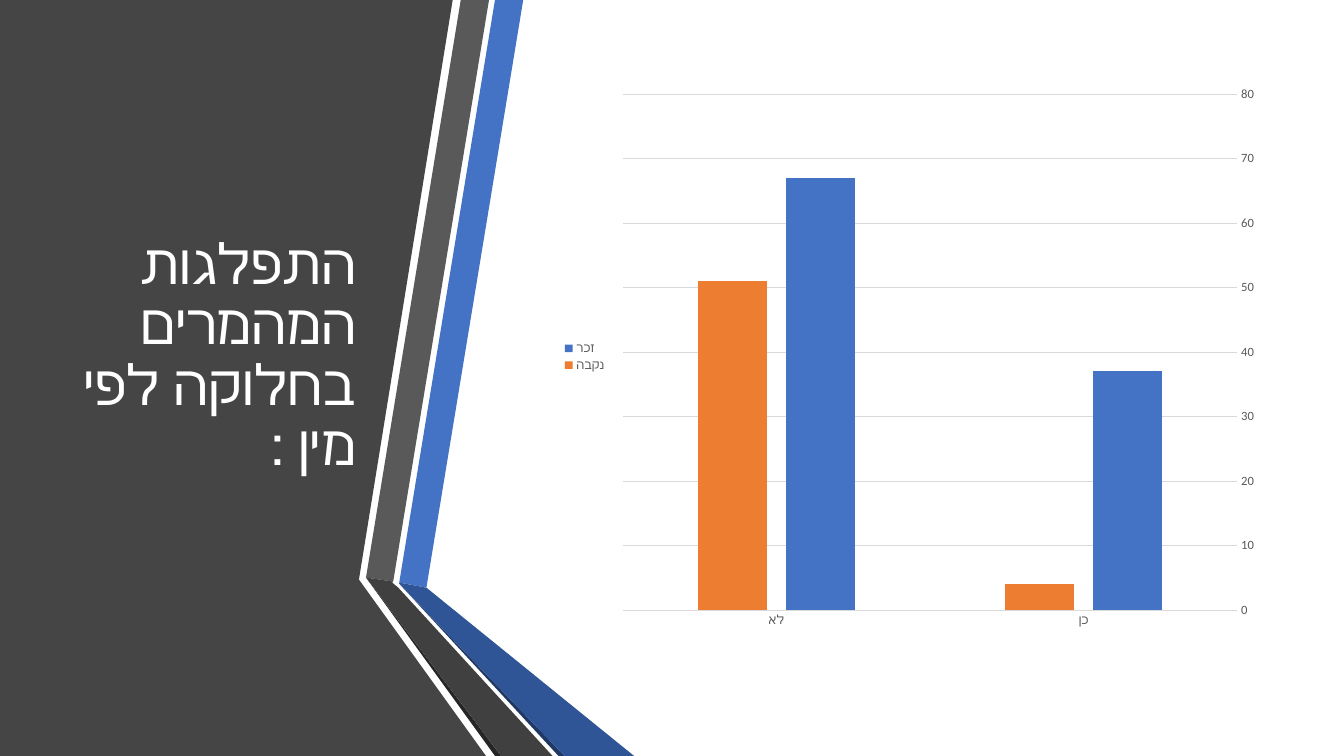
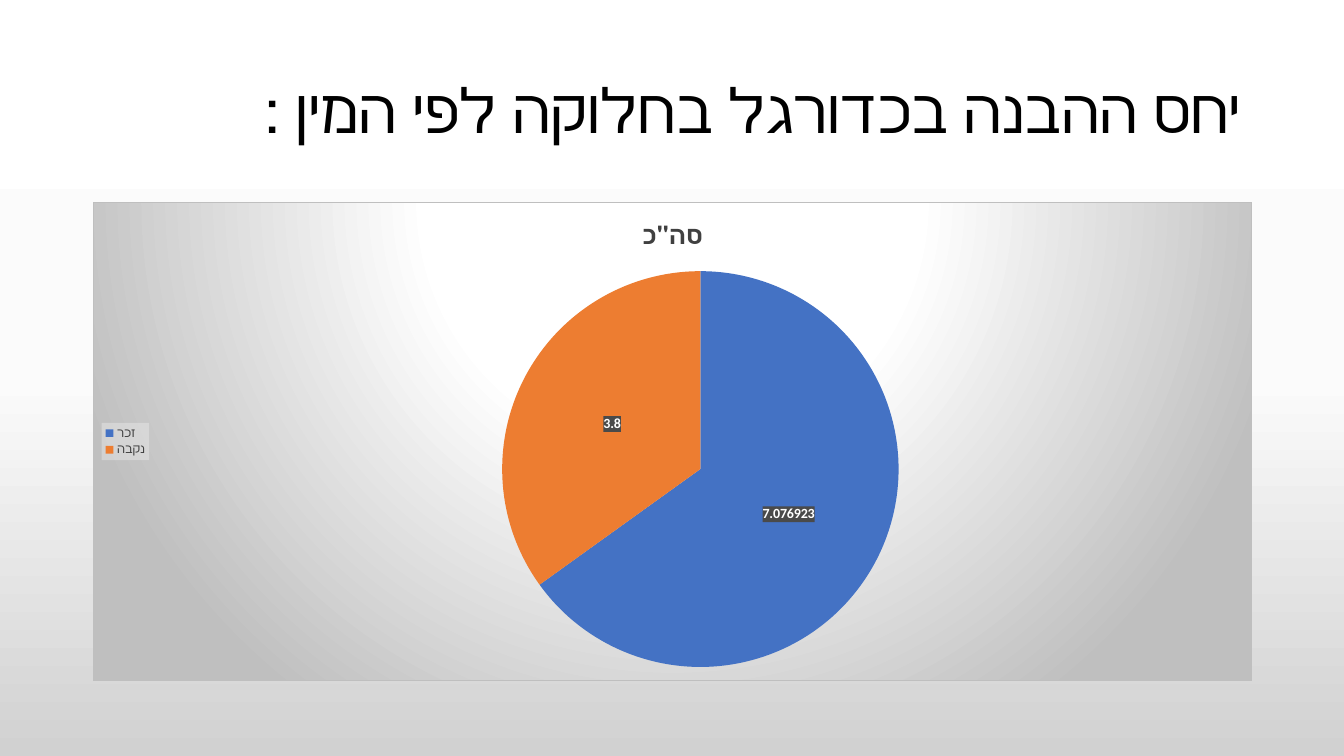
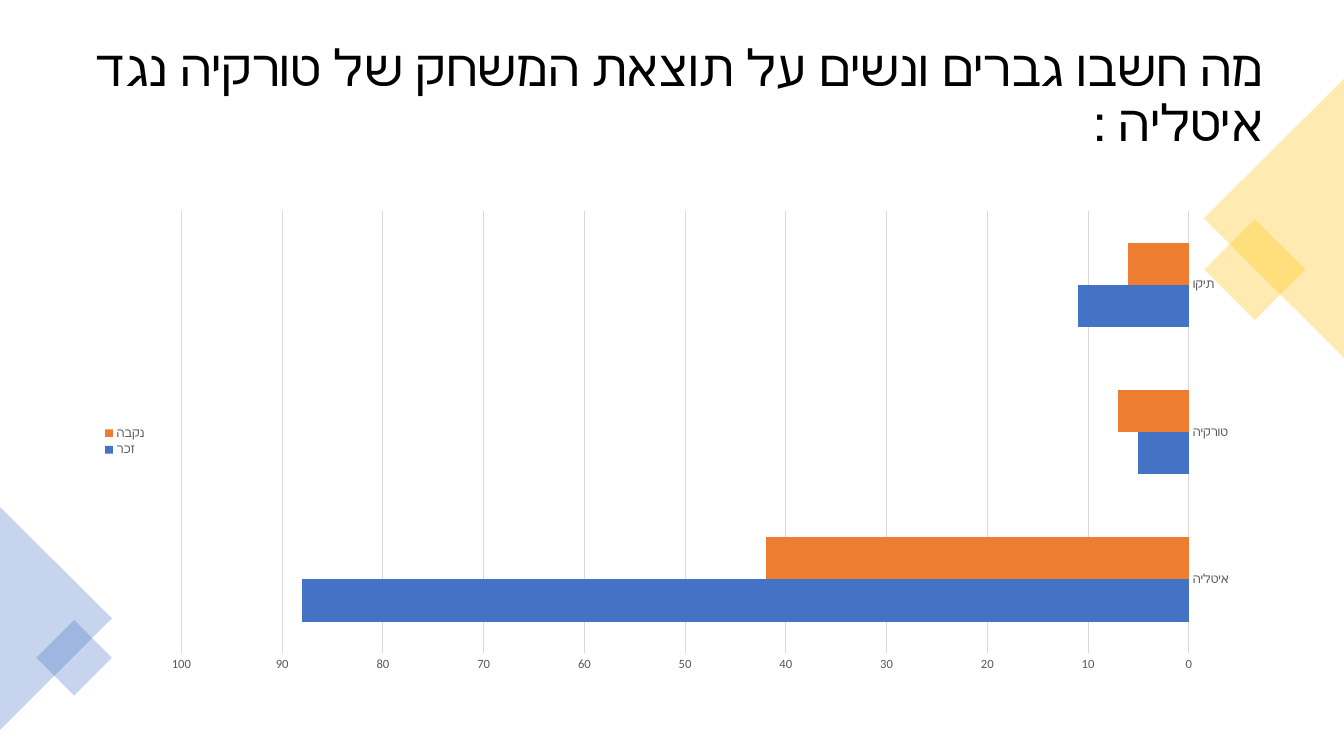
"""Build three Hebrew survey slides with shared titles and chart styling."""
import pptx
import pptx.chart.data
import pptx.dml.color
import pptx.enum.chart
import pptx.enum.shapes
import pptx.enum.text
import pptx.oxml
import pptx.oxml.ns
import pptx.util

Inches, Pt = pptx.util.Inches, pptx.util.Pt
RGBColor = pptx.dml.color.RGBColor
qn, nsdecls = pptx.oxml.ns.qn, pptx.oxml.ns.nsdecls
CHART = pptx.enum.chart.XL_CHART_TYPE
SHAPE = pptx.enum.shapes.MSO_SHAPE

FONT = "Calibri"
WHITE = RGBColor(0xFF, 0xFF, 0xFF)
BLACK = RGBColor(0x00, 0x00, 0x00)
BLUE = RGBColor(0x44, 0x72, 0xC4)
MID_BLUE = RGBColor(0x2F, 0x55, 0x97)
NAVY = RGBColor(0x20, 0x38, 0x64)
ORANGE = RGBColor(0xED, 0x7D, 0x31)
GOLD = RGBColor(0xFF, 0xC0, 0x00)
PANEL_GRAY = RGBColor(0x45, 0x45, 0x45)
RIBBON_GRAY = RGBColor(0x59, 0x59, 0x59)
FOLD_GRAY = RGBColor(0x40, 0x40, 0x40)
SHADOW_GRAY = RGBColor(0x26, 0x26, 0x26)
GRID_GRAY = RGBColor(0xD9, 0xD9, 0xD9)

MALE, FEMALE, TOTAL = "זכר", "נקבה", 'סה"כ'
WIDE_CHART_BOX = (0.92, 2, 11.5, 4.76)


def place_title(slide, text, box, size, color):
    title = slide.shapes.title
    slide.shapes.element.append(title.element)
    title.left, title.top, title.width, title.height = map(Inches, box)
    frame = title.text_frame
    frame.text = text
    frame.word_wrap = True
    frame.auto_size = pptx.enum.text.MSO_AUTO_SIZE.NONE
    frame.vertical_anchor = pptx.enum.text.MSO_ANCHOR.MIDDLE
    paragraph = frame.paragraphs[0]
    paragraph.alignment = pptx.enum.text.PP_ALIGN.RIGHT
    paragraph.line_spacing = 0.9
    paragraph._p.get_or_add_pPr().set("rtl", "1")
    font = paragraph.runs[0].font
    font.name, font.size, font.color.rgb = FONT, Pt(size), color


def place_chart(slide, kind, box, categories, series, text_color):
    data = pptx.chart.data.CategoryChartData()
    data.categories = categories
    for name, values in series:
        data.add_series(name, values)
    chart = slide.shapes.add_chart(kind, *map(Inches, box), data).chart
    chart.font.name, chart.font.size, chart.font.color.rgb = FONT, Pt(10), BLACK
    chart.has_title = False
    chart.has_legend = True
    chart.legend.position = pptx.enum.chart.XL_LEGEND_POSITION.LEFT
    chart.legend.include_in_layout = False
    small_fonts = [chart.legend.font]
    if kind != CHART.PIE:
        chart.plots[0].vary_by_categories = False
        for bars, color in zip(chart.plots[0].series, (BLUE, ORANGE)):
            bars.format.fill.solid()
            bars.format.fill.fore_color.rgb = color
            bars.invert_if_negative = False
        for axis in (chart.category_axis, chart.value_axis):
            axis.major_tick_mark = pptx.enum.chart.XL_TICK_MARK.NONE
            axis.minor_tick_mark = pptx.enum.chart.XL_TICK_MARK.NONE
            axis.format.line.fill.background()
            small_fonts.append(axis.tick_labels.font)
        chart.value_axis.has_major_gridlines = True
        grid = chart.value_axis.major_gridlines.format.line
        grid.width, grid.color.rgb = Pt(0.75), GRID_GRAY
    for font in small_fonts:
        font.name, font.size, font.color.rgb = FONT, Pt(9), text_color
    return chart


prs = pptx.Presentation()
prs.slide_width, prs.slide_height = Inches(13.33), Inches(7.5)
title_only = prs.slide_layouts[5]

prs.slide_master.background.fill.solid()
backdrop = next(prs.slide_master.element.iter(qn("p:bgPr")))
backdrop.replace(backdrop[0], pptx.oxml.parse_xml(
    f'<a:gradFill {nsdecls("a")} rotWithShape="1"><a:gsLst>'
    '<a:gs pos="0"><a:srgbClr val="FFFFFF"/></a:gs>'
    '<a:gs pos="50000"><a:srgbClr val="FBFBFB"/></a:gs>'
    '<a:gs pos="100000"><a:srgbClr val="D1D1D1"/></a:gs>'
    '</a:gsLst><a:lin ang="5400000" scaled="0"/></a:gradFill>'))

gender = prs.slides.add_slide(title_only)
gender.background.fill.solid()
gender.background.fill.fore_color.rgb = WHITE
ribbons = [
    (PANEL_GRAY, [(0, 0), (4.49, 0), (3.56, 5.75), (4.82, 7.5), (0, 7.5)]),
    (BLUE, [(3.96, 5.78), (4.23, 5.83), (5.19, 0), (4.91, 0)]),
    (RIBBON_GRAY, [(4.85, 0), (4.57, 0), (3.63, 5.73), (3.9, 5.77)]),
    (SHADOW_GRAY, [(3.63, 5.73), (4.91, 7.5), (4.97, 7.5)]),
    (NAVY, [(3.96, 5.79), (5.54, 7.5), (5.6, 7.5)]),
    (MID_BLUE, [(3.96, 5.79), (5.6, 7.5), (6.29, 7.5), (4.23, 5.83), (3.96, 5.78)]),
    (FOLD_GRAY, [(5.48, 7.5), (3.95, 5.83), (3.89, 5.78), (3.9, 5.77),
                 (3.63, 5.73), (4.97, 7.5)]),
]
for color, corners in ribbons:
    points = [(Inches(x), Inches(y)) for x, y in corners]
    outline = gender.shapes.build_freeform(*points[0], scale=1.0)
    outline.add_line_segments(points[1:], close=True)
    ribbon = outline.convert_to_shape()
    ribbon.shadow.inherit = False
    ribbon.fill.solid()
    ribbon.fill.fore_color.rgb = color
    ribbon.line.fill.background()
place_title(gender, "התפלגות המהמרים בחלוקה לפי מין :", (0.59, 0.75, 3.04, 5.58), 40, WHITE)
gamblers = place_chart(gender, CHART.COLUMN_CLUSTERED, (5.48, 0.75, 7.1, 5.58),
                       ["כן", "לא"], [(MALE, (37, 67)), (FEMALE, (4, 51))], RIBBON_GRAY)
gamblers.plots[0].gap_width, gamblers.plots[0].overlap = 219, -27
gamblers.category_axis.reverse_order = True
baseline = gamblers.category_axis.format.line
baseline.width, baseline.color.rgb = Pt(0.75), GRID_GRAY

knowledge = prs.slides.add_slide(title_only)
place_title(knowledge, "יחס ההבנה בכדורגל בחלוקה לפי המין :", (0.92, 0.4, 11.5, 1.45), 44, BLACK)
ratio = place_chart(knowledge, CHART.PIE, WIDE_CHART_BOX, [MALE, FEMALE],
                    [(TOTAL, (7.076923, 3.8))], FOLD_GRAY)
ratio.has_title = True
ratio.chart_title.include_in_layout = False
ratio.chart_title.text_frame.text = TOTAL
heading = ratio.chart_title.text_frame.paragraphs[0].runs[0].font
heading.name, heading.size, heading.bold = FONT, Pt(18), True
heading.color.rgb = FOLD_GRAY
slices = ratio.plots[0].series[0]
for index, color in enumerate((BLUE, ORANGE)):
    wedge = slices.points[index].format.fill
    wedge.solid()
    wedge.fore_color.rgb = color
values = slices.data_labels
values.show_value = True
values.position = pptx.enum.chart.XL_LABEL_POSITION.CENTER
values.font.name, values.font.size, values.font.bold = FONT, Pt(10), True
values.font.color.rgb = WHITE

vignette = (
    '<a:gradFill><a:gsLst><a:gs pos="0"><a:srgbClr val="FFFFFF"/></a:gs>'
    '<a:gs pos="39000"><a:srgbClr val="FFFFFF"/></a:gs>'
    '<a:gs pos="100000"><a:srgbClr val="BFBFBF"/></a:gs></a:gsLst>'
    '<a:path path="circle"><a:fillToRect l="50000" t="-80000" r="50000" b="180000"/></a:path>'
    '</a:gradFill><a:ln w="9525"><a:solidFill><a:srgbClr val="BFBFBF"/></a:solidFill></a:ln>')
legend_tint = ('<a:solidFill><a:srgbClr val="F2F2F2"><a:alpha val="39000"/></a:srgbClr>'
               '</a:solidFill>')
label_tint = '<a:solidFill><a:srgbClr val="4A4A4A"/></a:solidFill>'
for owner, paint in ((ratio.element, vignette),
                     (next(ratio.element.iter(qn("c:legend"))), legend_tint),
                     (next(ratio.element.iter(qn("c:dLbls"))), label_tint)):
    owner.find(qn("c:txPr")).addprevious(pptx.oxml.parse_xml(
        f'<c:spPr {nsdecls("c", "a")}>{paint}</c:spPr>'))

match = prs.slides.add_slide(title_only)
decorations = [
    (SHAPE.RECTANGLE, (0, 0, 13.33, 7.5), 0, WHITE, 100),
    (SHAPE.RECTANGLE, (12.09, 2.32, 0.71, 0.71), 45, GOLD, 30),
    (SHAPE.ISOSCELES_TRIANGLE, (11.25, 1.47, 2.77, 1.39), 270, GOLD, 30),
    (SHAPE.ISOSCELES_TRIANGLE, (-0.55, 5.58, 2.21, 1.11), 90, BLUE, 30),
    (SHAPE.RECTANGLE, (0.47, 6.26, 0.53, 0.53), 45, BLUE, 30),
]
for form, box, angle, color, opacity in decorations:
    decoration = match.shapes.add_shape(form, *map(Inches, box))
    decoration.rotation = angle
    decoration.shadow.inherit = False
    decoration.fill.solid()
    decoration.fill.fore_color.rgb = color
    decoration.line.fill.background()
    if opacity < 100:
        tint = next(decoration.element.spPr.iter(qn("a:srgbClr")))
        tint.append(pptx.oxml.parse_xml(
            f'<a:alpha {nsdecls("a")} val="{opacity * 1000}"/>'))
place_title(match, "מה חשבו גברים ונשים על תוצאת המשחק של טורקיה נגד איטליה :",
            (0.7, 0.35, 11.93, 1.24), 36, BLACK)
guesses = place_chart(match, CHART.BAR_CLUSTERED, WIDE_CHART_BOX,
                      ["איטליה", "טורקיה", "תיקו"],
                      [(MALE, (88, 5, 11)), (FEMALE, (42, 7, 6))], RIBBON_GRAY)
guesses.plots[0].gap_width = 150
guesses.value_axis.reverse_order = True

prs.save("out.pptx")
